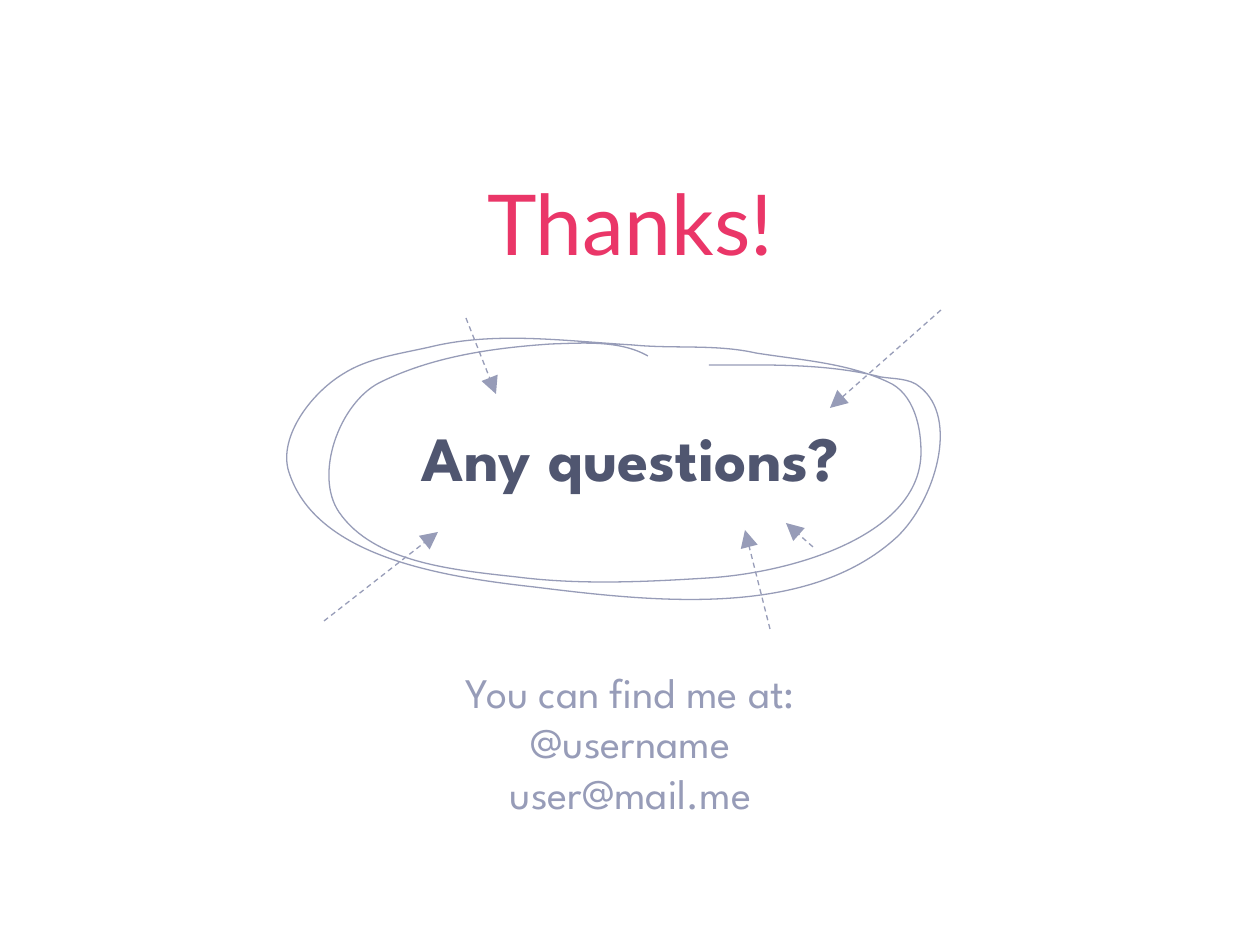
from typing import NamedTuple

from lxml.etree import SubElement
from pptx import Presentation
from pptx.dml.color import RGBColor
from pptx.enum.dml import MSO_LINE
from pptx.enum.shapes import MSO_CONNECTOR
from pptx.enum.text import MSO_ANCHOR, PP_ALIGN
from pptx.oxml.ns import qn
from pptx.util import Emu, Inches, Pt

PINK = RGBColor(0xEA, 0x36, 0x68)
SLATE = RGBColor(0x50, 0x56, 0x70)
LAVENDER = RGBColor(0x97, 0x9C, 0xB8)


class TextBlock(NamedTuple):
    box: tuple[int, int, int, int]
    lines: list[str]
    color: RGBColor
    font: dict
    anchor: MSO_ANCHOR = MSO_ANCHOR.TOP


class Arrow(NamedTuple):
    x1: int
    y1: int
    x2: int
    y2: int


TEXTS = [
    TextBlock((230, 184, 800, 101), ["Thanks!"], PINK,
              {"name": "Lato", "size": Pt(48)}, MSO_ANCHOR.BOTTOM),
    TextBlock((163, 406, 935, 144), ["Any questions?"], SLATE,
              {"name": "League Spartan", "size": Pt(36), "bold": True}),
    TextBlock((163, 654, 935, 179),
              ["You can find me at:", "@username", "user@mail.me"], LAVENDER,
              {"name": "League Spartan", "size": Pt(24)}),
]

ARROWS = [
    Arrow(941, 310, 830, 408),
    Arrow(466, 318, 496, 394),
    Arrow(324, 621, 438, 532),
    Arrow(770, 629, 745, 530),
    Arrow(813, 547, 786, 523),
]

# Hand-drawn loop: a start point, then two control points and an end per curve
LOOP_BOX = (286, 339, 654, 261)
LOOP_START = (648, 356)
LOOP_CURVES = [
    ((620, 340), (583, 343), (551, 344)),
    ((491, 348), (431, 357), (379, 383)),
    ((339, 404), (314, 475), (339, 512)),
    ((374, 563), (454, 570), (517, 577)),
    ((580, 585), (644, 582), (708, 578)),
    ((790, 573), (917, 537), (921, 456)),
    ((922, 428), (914, 393), (888, 382)),
    ((848, 363), (800, 360), (756, 353)),
    ((716, 344), (674, 349), (633, 345)),
    ((564, 341), (495, 331), (430, 347)),
    ((399, 354), (368, 358), (343, 374)),
    ((310, 394), (276, 440), (290, 475)),
    ((319, 558), (445, 577), (534, 587)),
    ((655, 602), (808, 619), (897, 537)),
    ((935, 501), (960, 418), (920, 387)),
    ((910, 378), (893, 379), (881, 377)),
    ((825, 363), (766, 365), (709, 365)),
]


def px(n: int) -> Emu:
    return Emu(round(n * 914400 / 126))


def set_attrs(obj, values: dict) -> None:
    for name, value in values.items():
        setattr(obj, name, value)


def style_line(line) -> None:
    line.color.rgb = LAVENDER
    line.width = Pt(0.75)


def add_text(s, block: TextBlock) -> None:
    tf = s.shapes.add_textbox(*map(px, block.box)).text_frame
    set_attrs(tf, {"word_wrap": True, "vertical_anchor": block.anchor})
    for side in ("left", "top", "right", "bottom"):
        setattr(tf, f"margin_{side}", Inches(0.1))
    for i, text in enumerate(block.lines):
        p = tf.add_paragraph() if i else tf.paragraphs[0]
        p.alignment = PP_ALIGN.CENTER
        r = p.add_run()
        r.text = text
        set_attrs(r.font, block.font)
        r.font.color.rgb = block.color


def add_loop(s) -> None:
    left, top, width, height = LOOP_BOX
    builder = s.shapes.build_freeform(px(left), px(top))
    builder.add_line_segments([(px(left + width), px(top + height))], close=False)
    sp = builder.convert_to_shape()
    sp.shadow.inherit = False
    sp.fill.background()
    style_line(sp.line)

    # The builder only knows straight segments: put curves in its path
    path = sp._element.spPr.find(".//" + qn("a:path"))
    for segment in list(path):
        path.remove(segment)
    segments = [("a:moveTo", [LOOP_START])]
    segments += [("a:cubicBezTo", curve) for curve in LOOP_CURVES]
    for tag, points in segments:
        segment = SubElement(path, qn(tag))
        for x, y in points:
            SubElement(segment, qn("a:pt"), x=str(px(x - left)), y=str(px(y - top)))


def add_arrow(s, arrow: Arrow) -> None:
    sp = s.shapes.add_connector(MSO_CONNECTOR.STRAIGHT, *map(px, arrow))
    style_line(sp.line)
    sp.line.dash_style = MSO_LINE.DASH
    sp_pr = sp._element.spPr
    SubElement(sp_pr.find(qn("a:ln")), qn("a:tailEnd"),
               type="triangle", w="lg", len="lg")
    SubElement(sp_pr, qn("a:effectLst"))


def main() -> None:
    prs = Presentation()
    prs.slide_width, prs.slide_height = px(1260), px(945)
    s = prs.slides.add_slide(prs.slide_layouts[6])

    # Title, question and contact lines
    for block in TEXTS:
        add_text(s, block)

    # Loop around the question, with arrows pointing in
    add_loop(s)
    for arrow in ARROWS:
        add_arrow(s, arrow)

    prs.save("out.pptx")


if __name__ == "__main__":
    main()
